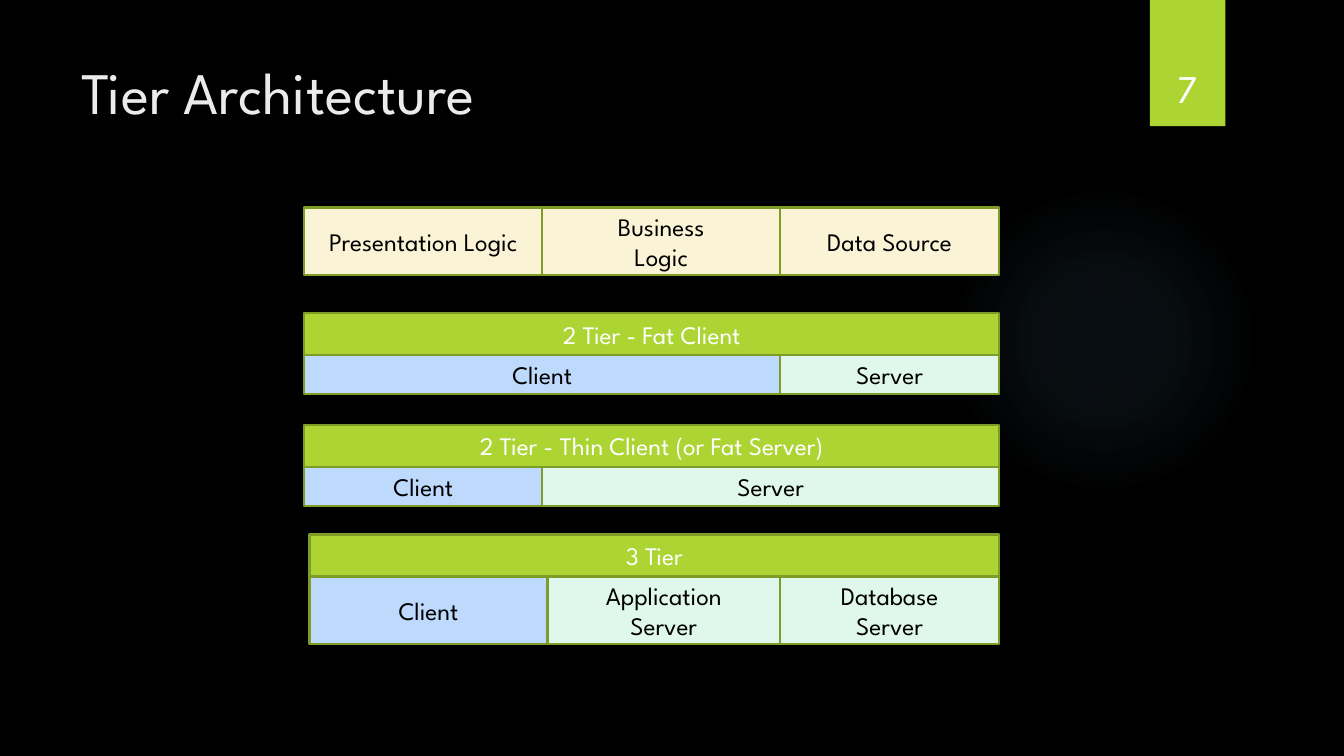
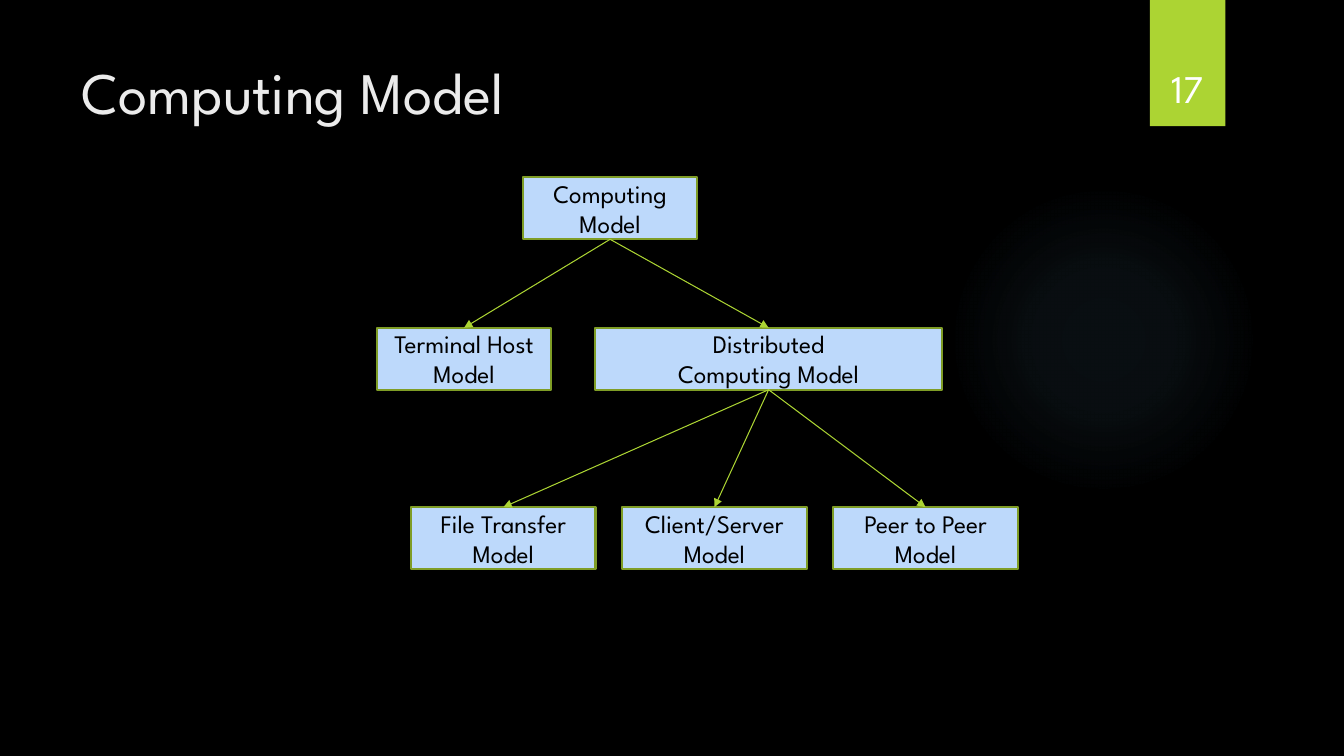
import pptx
import pptx.dml.color
import pptx.enum.shapes
import pptx.enum.text
import pptx.oxml
import pptx.oxml.ns
import pptx.util
from pptx.util import Cm

FONT = "League Spartan"
COLORS = {
    "background": "000000",
    "title": "EBEBEB",
    "white": "FFFFFF",
    "black": "000000",
    "lime": "ACD433",
    "outline": "7F9D26",
    "cream": "FAF3D6",
    "blue": "BDD9FB",
    "mint": "E0F7EC",
    "glow": "7AC4F0",
}
# Position and opacity of each glow stop, in thousandths of a percent
GLOW_STOPS = [(0, 7000), (36000, 6000), (69000, 0)]

RECTANGLE = pptx.enum.shapes.MSO_SHAPE.RECTANGLE
ANCHOR = pptx.enum.text.MSO_ANCHOR
ALIGN = pptx.enum.text.PP_ALIGN
TOP_SITE, BOTTOM_SITE = 0, 2


def color(name):
    return pptx.dml.color.RGBColor.from_string(COLORS[name])


def write(shape, text, size, color_name, anchor, align):
    """Fill a shape with text, one paragraph per line."""
    frame = shape.text_frame
    frame.word_wrap = True
    frame.vertical_anchor = anchor
    frame.text = text
    for para in frame.paragraphs:
        para.alignment = align
        para.font.name = FONT
        para.font.size = pptx.util.Pt(size)
        para.font.color.rgb = color(color_name)


def add_text(page, text, left, top, width, height, size, color_name, anchor, align):
    box = page.shapes.add_textbox(Cm(left), Cm(top), Cm(width), Cm(height))
    write(box, text, size, color_name, anchor, align)


def add_shape(page, kind, left, top, width, height):
    shape = page.shapes.add_shape(kind, Cm(left), Cm(top), Cm(width), Cm(height))
    shape.shadow.inherit = False
    shape.line.fill.background()
    return shape


def add_box(page, text, left, top, width, height, fill, text_color="black"):
    box = add_shape(page, RECTANGLE, left, top, width, height)
    box.fill.solid()
    box.fill.fore_color.rgb = color(fill)
    box.line.color.rgb = color("outline")
    box.line.width = pptx.util.Pt(1.5)
    write(box, text, 18, text_color, ANCHOR.MIDDLE, ALIGN.CENTER)
    return box


def add_glow(page):
    """Faint round light with a transparent radial gradient."""
    glow = add_shape(page, pptx.enum.shapes.MSO_SHAPE.OVAL, 23.9, 4.65, 7.82, 7.82)
    glow.fill.background()
    stops = "".join(
        f'<a:gs pos="{position}"><a:srgbClr val="{COLORS["glow"]}">'
        f'<a:alpha val="{alpha}"/></a:srgbClr></a:gs>'
        for position, alpha in GLOW_STOPS
    )
    gradient = pptx.oxml.parse_xml(
        f'<a:gradFill {pptx.oxml.ns.nsdecls("a")}><a:gsLst>{stops}</a:gsLst>'
        '<a:path path="circle"><a:fillToRect l="50000" t="50000" r="50000" b="50000"/>'
        "</a:path></a:gradFill>"
    )
    properties = glow.element.spPr
    properties.replace(properties.find(pptx.oxml.ns.qn("a:noFill")), gradient)


def add_arrow(page, parent, child):
    arrow = page.shapes.add_connector(
        pptx.enum.shapes.MSO_CONNECTOR.STRAIGHT, 0, 0, 0, 0)
    arrow.begin_connect(parent, BOTTOM_SITE)
    arrow.end_connect(child, TOP_SITE)
    arrow.line.color.rgb = color("lime")
    arrow.line.width = pptx.util.Pt(0.75)
    namespace = pptx.oxml.ns.nsdecls("a")
    properties = arrow.element.spPr
    properties.find(pptx.oxml.ns.qn("a:ln")).append(
        pptx.oxml.parse_xml(f'<a:tailEnd {namespace} type="triangle"/>'))
    properties.append(pptx.oxml.parse_xml(f"<a:effectLst {namespace}/>"))


def add_page(deck, title, number):
    """Blank page with the shared background, title and number flag."""
    page = deck.slides.add_slide(deck.slide_layouts[6])
    page.background.fill.solid()
    page.background.fill.fore_color.rgb = color("background")
    add_glow(page)
    flag = add_shape(page, RECTANGLE, 28.98, 0, 1.9, 3.18)
    flag.fill.solid()
    flag.fill.fore_color.rgb = color("lime")
    add_text(page, title, 1.8, 1.27, 26.14, 3.89, 42, "title", ANCHOR.TOP, ALIGN.LEFT)
    add_text(page, str(number), 28.75, 0.81, 2.34, 2.13, 28, "white",
             ANCHOR.BOTTOM, ALIGN.CENTER)
    return page


def add_band(page, top, height, edges, cells, heading=None):
    """Row of adjoining cells between the edges, under an optional heading."""
    if heading:
        heading_height = 1.06
        add_box(page, heading, edges[0], top, edges[-1] - edges[0], heading_height,
                "lime", "white")
        top += heading_height
    for left, right, (text, fill) in zip(edges, edges[1:], cells):
        add_box(page, text, left, top, right - left, height, fill)


def build_tiers(deck):
    page = add_page(deck, "Tier Architecture", 7)
    start, business, data, end = 7.67, 13.67, 19.66, 25.18
    low, tall = 0.99, 1.7

    # Layers of an application
    add_band(page, 5.23, tall, [start, business, data, end], [
        ("Presentation Logic", "cream"),
        ("Business\nLogic", "cream"),
        ("Data Source", "cream"),
    ])

    # How each architecture divides them
    add_band(page, 7.89, low, [start, data, end],
             [("Client", "blue"), ("Server", "mint")], "2 Tier - Fat Client")
    add_band(page, 10.7, low, [start, business, end],
             [("Client", "blue"), ("Server", "mint")],
             "2 Tier - Thin Client (or Fat Server)")
    shift = 0.13
    add_band(page, 13.47, tall, [start + shift, business + shift, data, end], [
        ("Client", "blue"),
        ("Application\nServer", "mint"),
        ("Database\nServer", "mint"),
    ], "3 Tier")


def build_models(deck):
    page = add_page(deck, "Computing Model", 17)

    def add_model(text, left, top, width):
        return add_box(page, text, left, top, width, 1.56, "blue")

    # Boxes of the tree, level by level
    root = add_model("Computing Model", 13.18, 4.47, 4.39)
    terminal = add_model("Terminal Host Model", 9.5, 8.26, 4.39)
    distributed = add_model("Distributed\nComputing Model", 14.99, 8.26, 8.76)
    names = ["File Transfer Model", "Client/Server\nModel", "Peer to Peer\nModel"]
    leaves = [add_model(name, 10.36 + 5.32 * index, 12.78, 4.65)
              for index, name in enumerate(names)]

    # Arrows from each parent to its children
    for parent, children in [(root, [terminal, distributed]), (distributed, leaves)]:
        for child in children:
            add_arrow(page, parent, child)


def main():
    deck = pptx.Presentation()
    deck.slide_width = Cm(33.87)
    deck.slide_height = Cm(19.05)
    build_tiers(deck)
    build_models(deck)
    deck.save("out.pptx")


if __name__ == "__main__":
    main()
